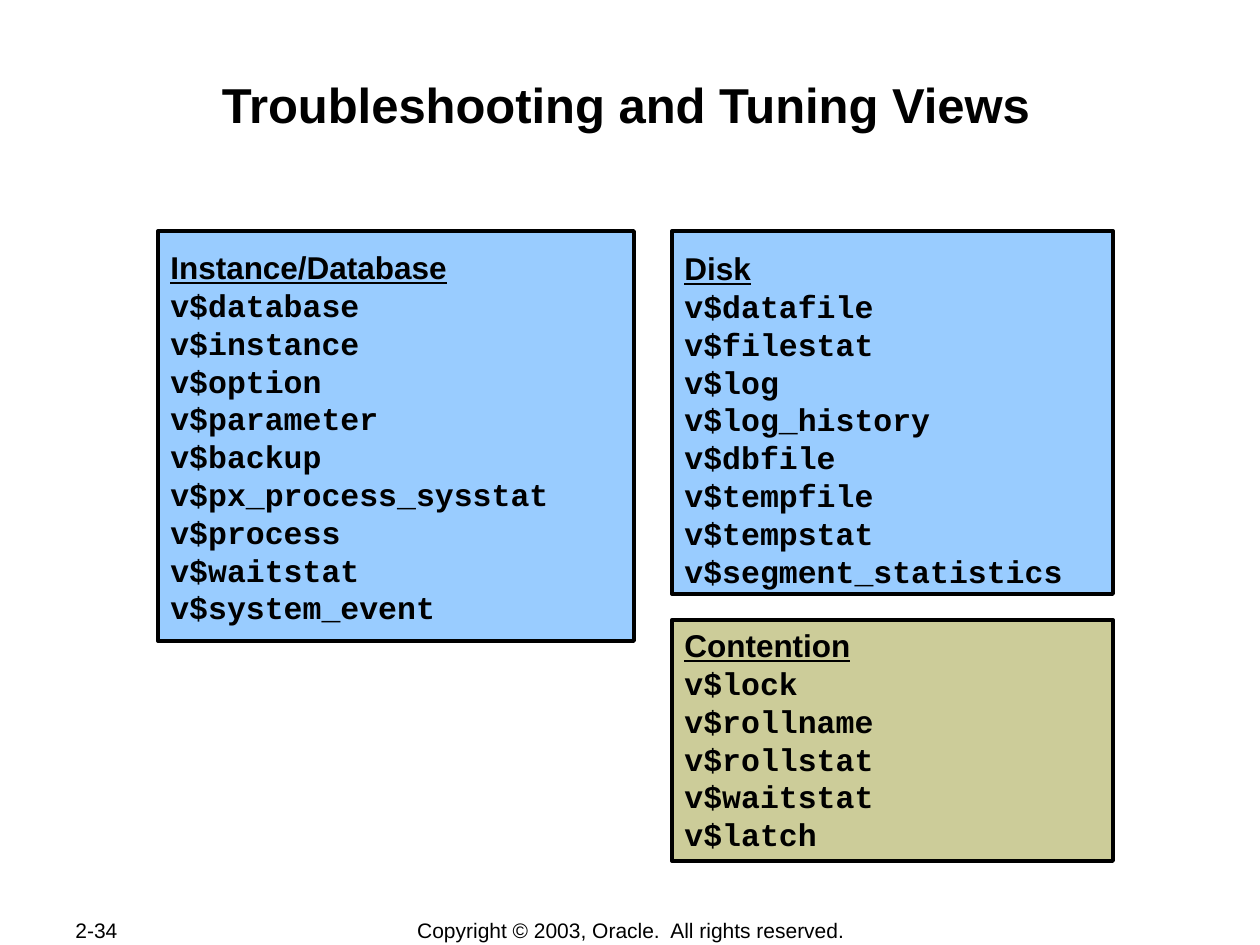
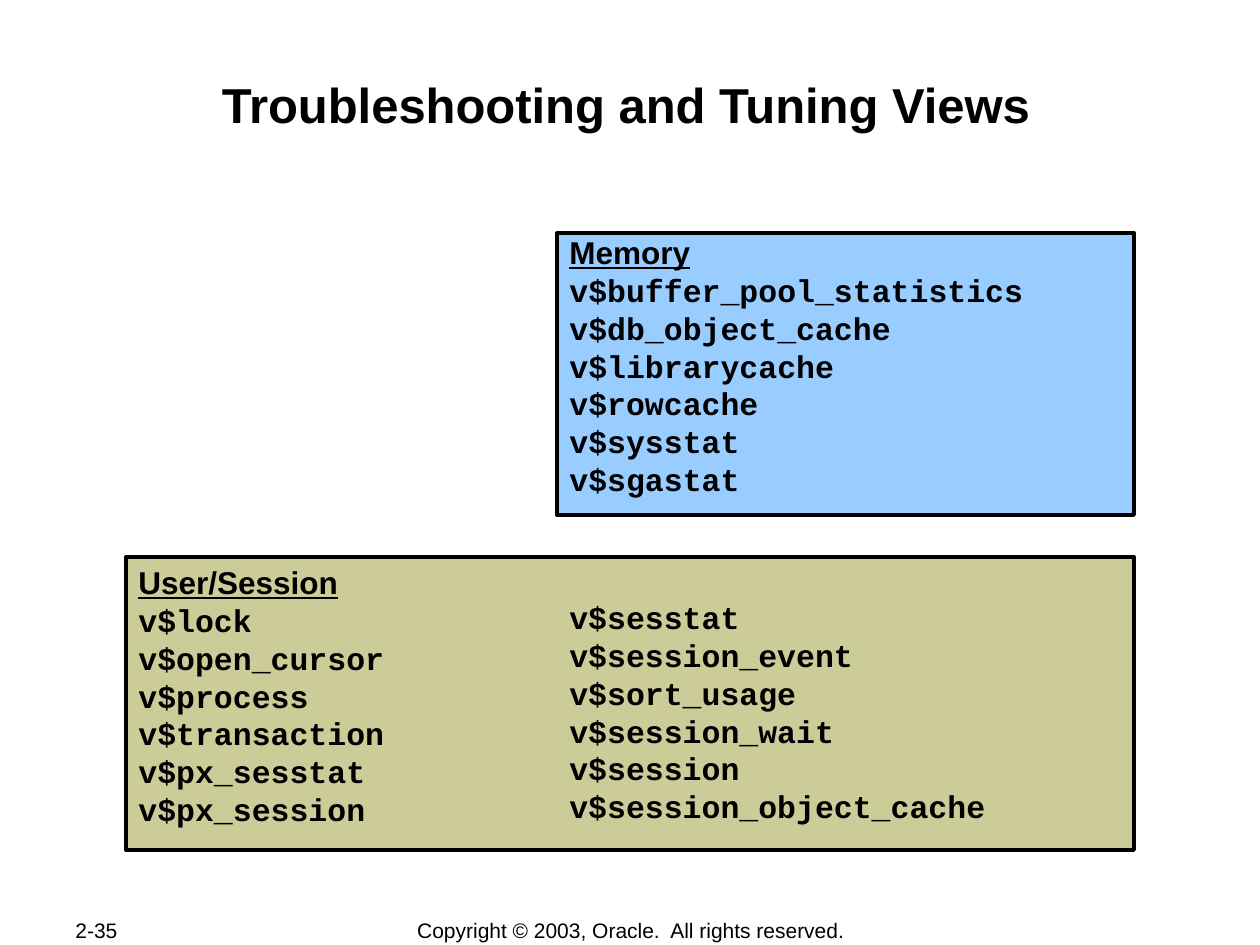
from dataclasses import dataclass

from pptx import Presentation
from pptx import util as u
from pptx.dml import color
from pptx.enum import text

PX = u.Inches(1) / 126  # one scale for every length


@dataclass(frozen=True)
class Theme:
    ink: str = "000000"
    blue: str = "99CCFF"
    olive: str = "CCCC99"
    sans: str = "Arial"
    mono: str = "Courier New"
    title_size: int = 28
    list_size: int = 18
    footer_size: int = 12
    border: float = 2.25


THEME = Theme()
TITLE = "Troubleshooting and Tuning Views"
COPYRIGHT = "Copyright © 2003, Oracle.  All rights reserved."


def px(*lengths):
    return [round(length * PX) for length in lengths]


def rgb(code):
    return color.RGBColor.from_string(code)


def add_text(slide, area, lines, size, bold=False, font=THEME.sans, heading=None,
             align=text.PP_ALIGN.LEFT, anchor=text.MSO_ANCHOR.TOP, inset=None):
    """Write one paragraph a line, below an optional underlined heading."""
    frame = slide.shapes.add_textbox(*px(*area)).text_frame
    frame.word_wrap = True
    frame.vertical_anchor = anchor
    if inset is not None:
        frame.margin_left, frame.margin_top, frame.margin_right, frame.margin_bottom = px(*[inset] * 4)
    headings = [heading] if heading else []
    frame.text = "\n".join(headings + lines)
    for index, paragraph in enumerate(frame.paragraphs):
        is_heading = index < len(headings)
        paragraph.alignment = align
        for run in paragraph.runs:
            run.font.name = THEME.sans if is_heading else font
            run.font.size = u.Pt(size)
            run.font.bold = bold
            run.font.underline = is_heading
            run.font.color.rgb = rgb(THEME.ink)


def add_panel(slide, area, fill):
    panel = slide.shapes.add_shape(1, *px(*area))
    panel.shadow.inherit = False
    panel.fill.solid()
    panel.fill.fore_color.rgb = rgb(fill)
    panel.line.color.rgb = rgb(THEME.ink)
    panel.line.width = u.Pt(THEME.border)


def add_views(slide, area, views, heading=None):
    add_text(slide, area, views.split(), THEME.list_size, bold=True,
             font=THEME.mono, heading=heading)


def add_page(deck, number):
    """Start a slide with the shared title and footer."""
    slide = deck.slides.add_slide(deck.slide_layouts[6])
    add_text(slide, (122, 73, 1008, 121), [TITLE], THEME.title_size, bold=True,
             align=text.PP_ALIGN.CENTER, inset=1)
    add_text(slide, (63, 917, 134, 26), [number], THEME.footer_size,
             anchor=text.MSO_ANCHOR.MIDDLE)
    add_text(slide, (348, 917, 566, 26), [COPYRIGHT], THEME.footer_size,
             align=text.PP_ALIGN.CENTER, anchor=text.MSO_ANCHOR.MIDDLE)
    return slide


def build_instance_disk_contention(deck):
    slide = add_page(deck, "2-34")

    # Instance and database
    add_panel(slide, (158, 231, 476, 410), THEME.blue)
    add_views(slide, (158, 242, 494, 391),
              "v$database v$instance v$option v$parameter v$backup "
              "v$px_process_sysstat v$process v$waitstat v$system_event",
              heading="Instance/Database")

    # Disk
    add_panel(slide, (672, 231, 441, 363), THEME.blue)
    add_views(slide, (672, 243, 473, 353),
              "v$datafile v$filestat v$log v$log_history v$dbfile "
              "v$tempfile v$tempstat v$segment_statistics", heading="Disk")

    # Contention
    add_panel(slide, (672, 620, 441, 241), THEME.olive)
    add_views(slide, (672, 620, 473, 239),
              "v$lock v$rollname v$rollstat v$waitstat v$latch",
              heading="Contention")


def build_memory_session(deck):
    slide = add_page(deck, "2-35")

    # Memory
    add_panel(slide, (557, 233, 577, 282), THEME.blue)
    add_views(slide, (557, 227, 609, 277),
              "v$buffer_pool_statistics v$db_object_cache v$librarycache "
              "v$rowcache v$sysstat v$sgastat", heading="Memory")

    # User and session, in two columns
    add_panel(slide, (126, 557, 1008, 293), THEME.olive)
    add_views(slide, (126, 557, 620, 277),
              "v$lock v$open_cursor v$process v$transaction v$px_sesstat "
              "v$px_session", heading="User/Session")
    add_views(slide, (557, 592, 620, 239),
              "v$sesstat v$session_event v$sort_usage v$session_wait "
              "v$session v$session_object_cache")


def main():
    deck = Presentation()
    deck.slide_width, deck.slide_height = px(1260, 945)
    build_instance_disk_contention(deck)
    build_memory_session(deck)
    deck.save("out.pptx")


if __name__ == "__main__":
    main()
